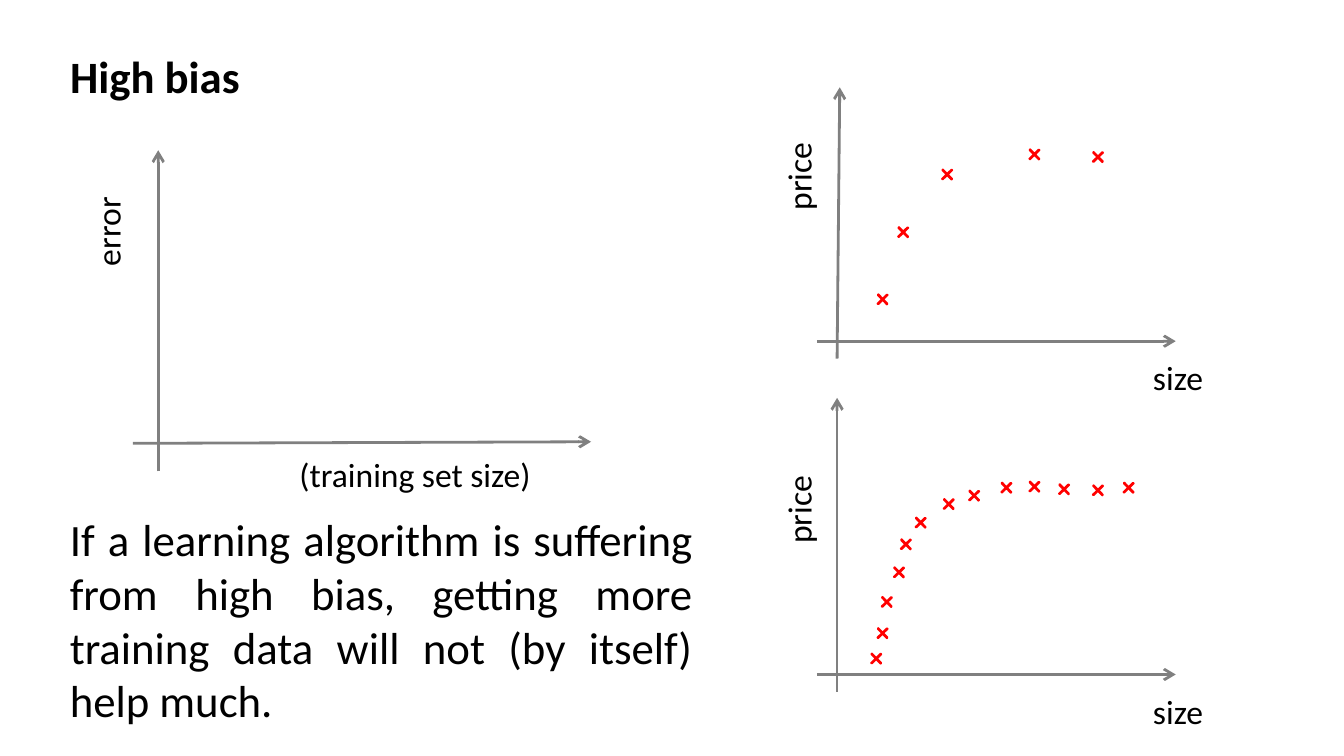
from lxml.etree import SubElement
from pptx import Presentation
from pptx.dml.color import RGBColor
from pptx.enum.shapes import MSO_CONNECTOR, MSO_SHAPE
from pptx.enum.text import MSO_ANCHOR, MSO_AUTO_SIZE, PP_ALIGN
from pptx.oxml.ns import qn
from pptx.util import Cm, Pt

FONT = "Calibri"
BLACK, GREY, RED = "000000", "808080", "FF0000"
MARK = 0.25
LABEL_HEIGHT = 1.02

# Mark centres in cm from the top left corner of their plot
FEW_MARKS = [(1.24, 4.01), (1.63, 2.74), (2.46, 1.65), (4.11, 1.27), (5.31, 1.32)]
MANY_MARKS = [
    (1.12, 4.93), (1.24, 4.45), (1.32, 3.86), (1.55, 3.3), (1.68, 2.77),
    (1.96, 2.36), (2.49, 2.01), (2.97, 1.85), (3.58, 1.7), (4.11, 1.68),
    (4.67, 1.73), (5.31, 1.75), (5.89, 1.7),
]


def rgb(color):
    return RGBColor.from_string(color)


def fill_text(tf, text, size, bold=False, align=PP_ALIGN.LEFT, wrap=True):
    tf.text = text
    tf.word_wrap = wrap
    tf.auto_size = MSO_AUTO_SIZE.NONE
    p = tf.paragraphs[0]
    p.alignment = align
    font = p.runs[0].font
    font.name, font.size, font.bold = FONT, Pt(size), bold
    font.color.rgb = rgb(BLACK)


def add_label(s, text, left, top, width, rotation=0, wrap=True):
    sp = s.shapes.add_textbox(Cm(left), Cm(top), Cm(width), Cm(LABEL_HEIGHT))
    sp.rotation = rotation
    fill_text(sp.text_frame, text, 18, wrap=wrap)


def add_arrow(s, x1, y1, x2, y2):
    line = s.shapes.add_connector(MSO_CONNECTOR.STRAIGHT, Cm(x1), Cm(y1), Cm(x2), Cm(y2))
    line.line.color.rgb = rgb(GREY)
    line.line.width = Pt(1.5)
    SubElement(line.line._get_or_add_ln(), qn("a:tailEnd"), type="arrow")
    SubElement(line._element.spPr, qn("a:effectLst"))


def add_axes(s, box, cross_x, cross_y, lean=0, rise=0):
    """Cross two arrows cross_x from the left and cross_y from the bottom of box."""
    left, top, width, height = box
    x, y = left + cross_x, top + height - cross_y
    add_arrow(s, x, top + height, x + lean, top)
    add_arrow(s, left, y, left + width, y - rise)


def add_mark(s, x, y):
    sp = s.shapes.add_shape(
        MSO_SHAPE.CROSS, Cm(x - MARK / 2), Cm(y - MARK / 2), Cm(MARK), Cm(MARK))
    sp.adjustments[0] = 0.466
    sp.rotation = 45.6
    sp.shadow.inherit = False
    sp.fill.solid()
    sp.fill.fore_color.rgb = rgb(BLACK)
    sp.line.color.rgb = rgb(RED)
    sp.line.width = Pt(1)


def add_title(s, box):
    title = s.shapes.title
    title.left, title.top, title.width, title.height = (Cm(v) for v in box)
    fill_text(title.text_frame, "High bias", 24, bold=True)
    title.text_frame.vertical_anchor = MSO_ANCHOR.TOP


def add_error_plot(s, box):
    left, top, _, height = box
    add_axes(s, box, 0.48, 0.53, rise=0.03)
    add_label(s, "(training set size)", left + 2.9, top + height - 0.46, 9)
    add_label(s, "error", left - 1.8, top + 0.61, 2.64, rotation=270)


def add_price_plot(s, box, marks, lean=0):
    left, top, _, height = box
    add_axes(s, box, 0.38, 0.33, lean=lean)
    for x, y in marks:
        add_mark(s, left + x, top + y)
    add_label(s, "size", left + 6.1, top + height - 0.15, 1.7)
    add_label(s, "price", left - 1.25, top + height - 3.96, 1.8, rotation=270, wrap=False)


def add_conclusion(s, box):
    sp = s.shapes.add_textbox(*(Cm(v) for v in box))
    fill_text(
        sp.text_frame,
        "If a learning algorithm is suffering from high bias, getting more "
        "training data will not (by itself) help much.",
        24, align=PP_ALIGN.JUSTIFY)


def main():
    prs = Presentation()
    prs.slide_width, prs.slide_height = Cm(25.4), Cm(14.29)
    s = prs.slides.add_slide(prs.slide_layouts[5])
    add_title(s, (1.07, 0.79, 11.86, 1.28))
    add_error_plot(s, (2.51, 2.84, 8.66, 6.07))
    add_price_plot(s, (15.44, 1.65, 6.78, 5.13), FEW_MARKS, lean=0.05)
    add_price_plot(s, (15.44, 7.52, 6.78, 5.56), MANY_MARKS)
    add_conclusion(s, (1.07, 9.55, 12.27, 4.37))
    prs.save("out.pptx")


if __name__ == "__main__":
    main()
